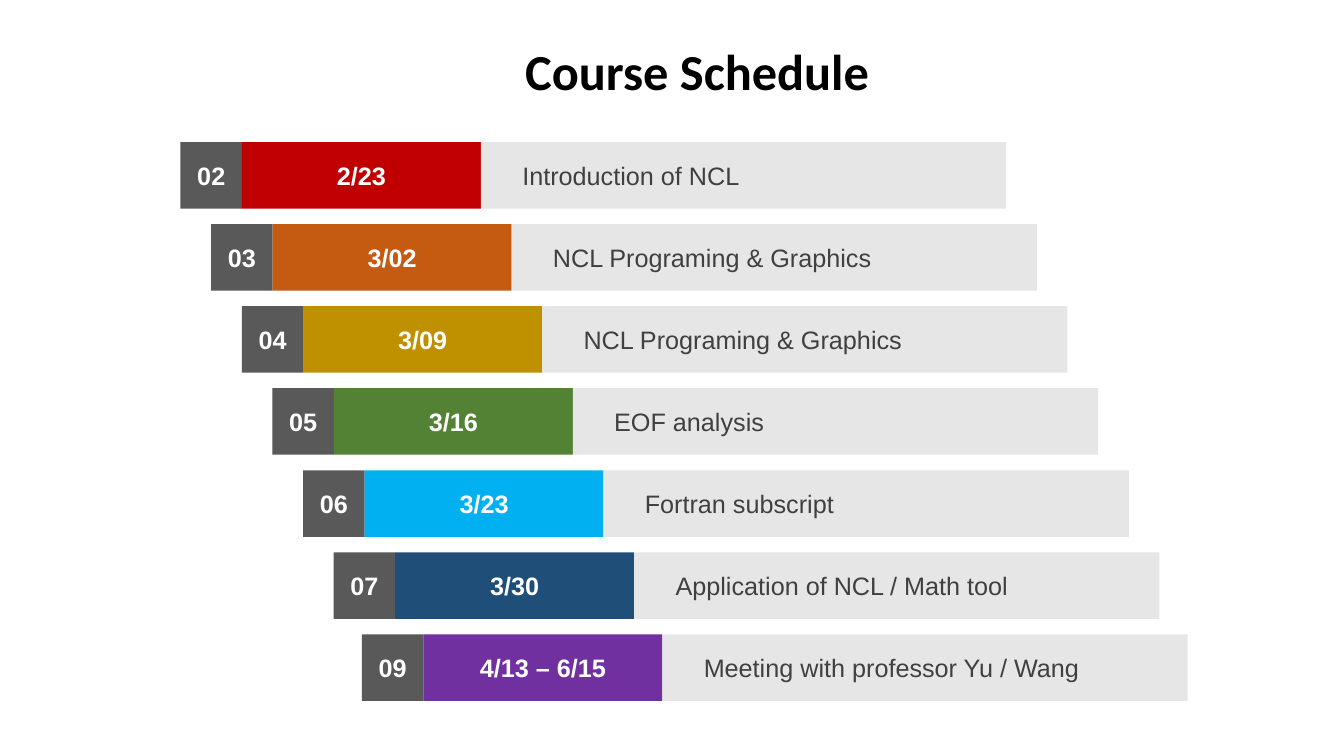
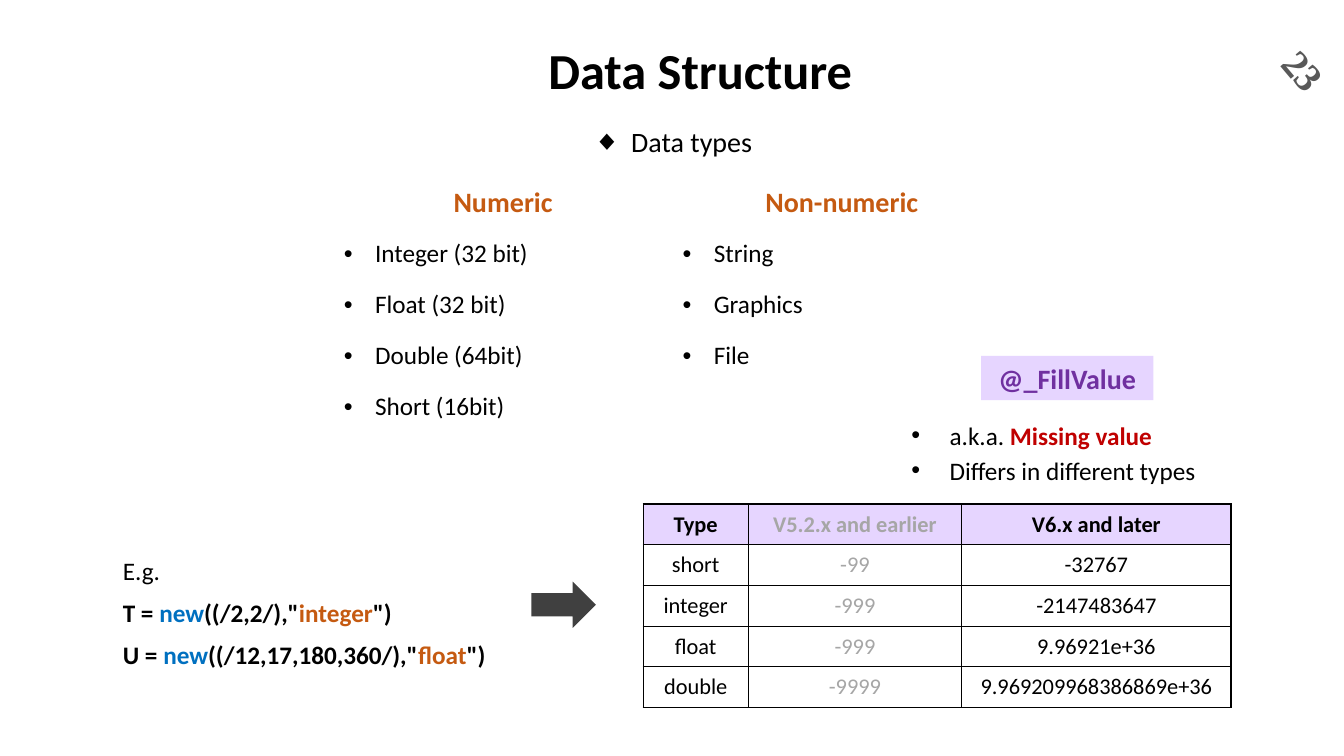
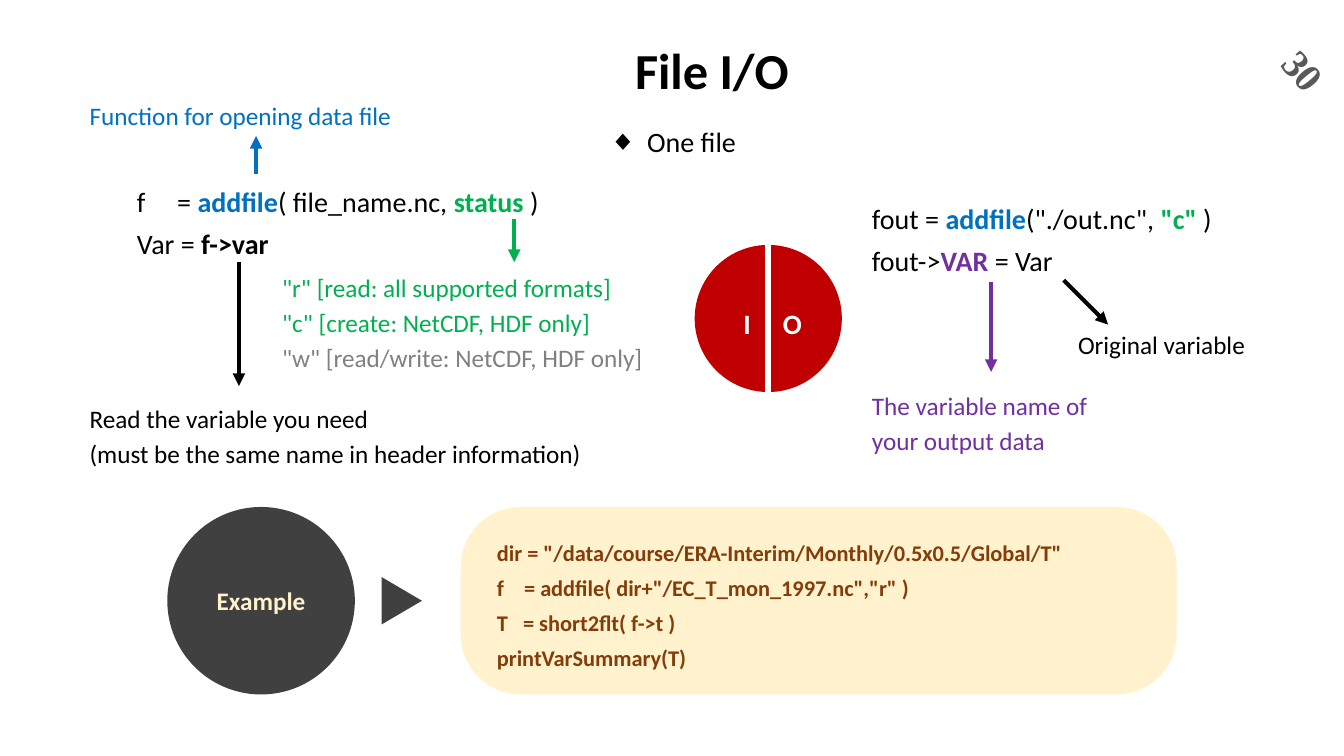
from collections import namedtuple
from itertools import accumulate

from lxml import etree
from pptx import Presentation
from pptx.dml.color import RGBColor
from pptx.enum.shapes import MSO_CONNECTOR, MSO_SHAPE
from pptx.enum.text import MSO_ANCHOR, PP_ALIGN
from pptx.oxml.ns import qn
from pptx.util import Inches, Pt

COLUMNS, ROWS = 133.3, 75
UNIT = Inches(0.1)

BLACK = RGBColor(0x00, 0x00, 0x00)
WHITE = RGBColor(0xFF, 0xFF, 0xFF)
CHARCOAL = RGBColor(0x40, 0x40, 0x40)
SLATE = RGBColor(0x59, 0x59, 0x59)
GRAY = RGBColor(0x80, 0x80, 0x80)
SILVER = RGBColor(0xA6, 0xA6, 0xA6)
PALE = RGBColor(0xE7, 0xE6, 0xE6)
RED = RGBColor(0xC0, 0x00, 0x00)
ORANGE = RGBColor(0xC5, 0x5A, 0x11)
GOLD = RGBColor(0xBF, 0x90, 0x00)
OLIVE = RGBColor(0x54, 0x82, 0x35)
SKY = RGBColor(0x00, 0xB0, 0xF0)
NAVY = RGBColor(0x1F, 0x4E, 0x79)
PURPLE = RGBColor(0x70, 0x30, 0xA0)
BLUE = RGBColor(0x00, 0x70, 0xC0)
GREEN = RGBColor(0x00, 0xB0, 0x50)
LILAC = RGBColor(0xE6, 0xD5, 0xFF)
CREAM = RGBColor(0xFF, 0xF2, 0xCC)
BROWN = RGBColor(0x84, 0x3C, 0x0B)

LEFT, CENTER = PP_ALIGN.LEFT, PP_ALIGN.CENTER
TOP, MIDDLE = MSO_ANCHOR.TOP, MSO_ANCHOR.MIDDLE
RECTANGLE, ROUNDED = MSO_SHAPE.RECTANGLE, MSO_SHAPE.ROUNDED_RECTANGLE
ELLIPSE, TRIANGLE = MSO_SHAPE.OVAL, MSO_SHAPE.ISOSCELES_TRIANGLE
RIGHT_ARROW = MSO_SHAPE.RIGHT_ARROW
STRAIGHT = MSO_CONNECTOR.STRAIGHT
BOTTOM_SIDE = 2

SCHEDULE = [
    ("02", "2/23", RED, "Introduction of NCL"),
    ("03", "3/02", ORANGE, "NCL Programing & Graphics"),
    ("04", "3/09", GOLD, "NCL Programing & Graphics"),
    ("05", "3/16", OLIVE, "EOF analysis"),
    ("06", "3/23", SKY, "Fortran subscript"),
    ("07", "3/30", NAVY, "Application of NCL / Math tool"),
    ("09", "4/13 – 6/15", PURPLE, "Meeting with professor Yu / Wang"),
]
TYPES = [
    ("Numeric", "Non-numeric"),
    ("Integer (32 bit)", "String"),
    ("Float (32 bit)", "Graphics"),
    ("Double (64bit)", "File"),
    ("Short (16bit)", ""),
]
FILL_VALUES = [
    ("Type", "V5.2.x and earlier", "V6.x and later"),
    ("short", "-99", "-32767"),
    ("integer", "-999", "-2147483647"),
    ("float", "-999", "9.96921e+36"),
    ("double", "-9999", "9.969209968386869e+36"),
]


class Box(namedtuple("Box", "left top width height")):
    def at(self, column, row, width, height):
        return Box(self.left + column, self.top + row, width, height)

    def lengths(self):
        return [round(value * UNIT) for value in self]


def add_bullet(para, symbol, indent):
    properties = para._p.get_or_add_pPr()
    properties.set("marL", str(Inches(indent)))
    properties.set("indent", str(-Inches(indent)))
    etree.SubElement(properties, qn("a:buFont")).set("typeface", "Arial")
    etree.SubElement(properties, qn("a:buChar")).set("char", symbol)


def add_tab(para, inches):
    stops = etree.SubElement(para._p.get_or_add_pPr(), qn("a:tabLst"))
    etree.SubElement(stops, qn("a:tab"), pos=str(Inches(inches)), algn="l")


def write(frame, text, size=18, color=BLACK, bold=False, font="Calibri", align=LEFT,
          anchor=TOP, spacing=None, bullet=None, indent=0.38, tab=None):
    frame.word_wrap = True
    frame.vertical_anchor = anchor
    paragraphs = [text] if isinstance(text, str) else text
    for index, spans in enumerate(paragraphs):
        para = frame.add_paragraph() if index else frame.paragraphs[0]
        para.alignment = align
        if spacing:
            para.line_spacing = Pt(spacing)
        if bullet:
            add_bullet(para, bullet, indent)
        if tab:
            add_tab(para, tab)
        if isinstance(spans, str):
            spans = [(spans, color, bold)]
        for words, span_color, span_bold in spans:
            span = para.add_run()
            span.text = words
            span.font.name = font
            span.font.size = Pt(size)
            span.font.bold = span_bold
            span.font.color.rgb = span_color


def add_text(page, box, text, **style):
    label = page.shapes.add_textbox(*box.lengths())
    write(label.text_frame, text, **style)
    return label


def add_block(page, box, fill, text="", kind=RECTANGLE, rounding=None, rotation=0, **style):
    block = page.shapes.add_shape(kind, *box.lengths())
    block.shadow.inherit = False
    block.fill.solid()
    block.fill.fore_color.rgb = fill
    block.line.fill.background()
    block.rotation = rotation
    if rounding is not None:
        block.adjustments[0] = rounding
    if text:
        write(block.text_frame, text, **{"align": CENTER, "anchor": MIDDLE, "bold": True, **style})
    return block


def add_line(page, box, color, width=3, arrow=True):
    left, top, across, down = box.lengths()
    line = page.shapes.add_connector(STRAIGHT, left, top, left + across, top + down)
    line.line.color.rgb = color
    line.line.width = Pt(width)
    if arrow:
        etree.SubElement(line.line._get_or_add_ln(), qn("a:tailEnd")).set("type", "triangle")
    etree.SubElement(line._element.spPr, qn("a:effectLst"))
    return line


def add_borders(cell):
    properties = cell._tc.get_or_add_tcPr()
    for side in ("a:lnL", "a:lnR", "a:lnT", "a:lnB"):
        border = etree.SubElement(properties, qn(side), w=str(Pt(1)))
        fill = etree.SubElement(border, qn("a:solidFill"))
        etree.SubElement(fill, qn("a:srgbClr")).set("val", str(BLACK))


def add_grid(page, box, rows, widths, cell_style, head_fill=WHITE, bordered=False):
    table = page.shapes.add_table(len(rows), len(widths), *box.lengths()).table
    table.first_row = table.horz_banding = False
    for column, width in zip(table.columns, widths):
        column.width = round(width * UNIT)
    for row_index, texts in enumerate(rows):
        table.rows[row_index].height = round(box.height / len(rows) * UNIT)
        for column_index, text in enumerate(texts):
            cell = table.cell(row_index, column_index)
            if bordered:
                add_borders(cell)
                cell.margin_left = cell.margin_right = Inches(0.03)
                cell.margin_top = cell.margin_bottom = Inches(0.03)
            cell.fill.solid()
            cell.fill.fore_color.rgb = WHITE if row_index else head_fill
            cell.vertical_anchor = MIDDLE
            if text:
                write(cell.text_frame, text, anchor=MIDDLE, **cell_style(row_index, column_index))


def add_page(deck, title, title_box, number=None, topic=None):
    page = deck.slides.add_slide(deck.slide_layouts[6])
    add_text(page, title_box, title, size=36, bold=True)
    if number:
        label = add_text(page, Box(125.3, 4.1, 8, 5.7), number, size=28, color=SLATE,
                         bold=True, font="Times New Roman", align=CENTER)
        label.rotation = 50
    if topic:
        add_text(page, Box(19, 11.9, 95.4, 4.4), topic, size=20, align=CENTER, bullet="◆")
    return page


def schedule_bar(page, box, number, date, color, topic):
    widths = (6.1, 23.7, 52.1)
    lefts = accumulate(widths[:2], initial=0)
    parts = [box.at(left, 0, width, box.height) for left, width in zip(lefts, widths)]
    add_block(page, parts[0], SLATE, number, color=WHITE, font="Arial")
    add_block(page, parts[1], color, date, color=WHITE, font="Arial")
    bar = add_block(page, parts[2], PALE, topic, color=CHARCOAL, font="Arial",
                    bold=False, align=LEFT)
    bar.text_frame.margin_left = Inches(0.41)


def schedule_page(deck):
    page = add_page(deck, "Course Schedule", Box(51.1, 3.5, 41, 7.1))
    for index, entry in enumerate(SCHEDULE):
        left = 17.9 + 3.04 * index
        if index == len(SCHEDULE) - 1:
            left = 35.9
        schedule_bar(page, Box(left, 14.1 + 8.14 * index, 81.9, 6.6), *entry)


def type_style(row, column):
    if row == 0:
        return dict(size=20, color=ORANGE, bold=True, align=CENTER)
    return dict(bullet="•", indent=0.31)


def value_style(row, column):
    return dict(size=16, color=SILVER if column == 1 else BLACK, bold=row == 0, align=CENTER)


def fill_value_region(page, box):
    add_block(page, box.at(33.5, 0, 17.1, 4.4), LILAC, "@_FillValue", size=20, color=PURPLE)
    add_text(page, box.at(25.6, 5.4, 32.7, 7.7), [
        [("a.k.a. ", BLACK, False), ("Missing value", RED, True)],
        "Differs in different types",
    ], spacing=25, bullet="•")
    add_grid(page, box.at(0, 14.7, box.width, 20.2), FILL_VALUES, (10.4, 21.2, 26.7),
             value_style, head_fill=LILAC, bordered=True)


def new_call(name, sizes, kind):
    return [(f"{name} = ", BLACK, True), ("new", BLUE, True), (f'(({sizes}),"', BLACK, True),
            (kind, ORANGE, True), ('")', BLACK, True)]


def declaration_region(page, box):
    add_text(page, box.at(0, 0, 43.9, box.height), [
        "E.g.",
        new_call("T", "/2,2/", "integer"),
        new_call("U", "/12,17,180,360/", "float"),
    ], spacing=30)
    add_block(page, box.at(41.5, 4.3, 6.4, 4.6), CHARCOAL, kind=RIGHT_ARROW)


def data_page(deck):
    page = add_page(deck, "Data Structure", Box(53.4, 3.4, 36.6, 7.1), "23", "Data types")
    add_grid(page, Box(33.1, 17.6, 67.2, 25.3), TYPES, (33.6, 33.6), type_style)
    declaration_region(page, Box(11.2, 53.4, 47.9, 13.2))
    fill_value_region(page, Box(63.8, 35.3, 58.3, 34.9))


def input_region(page, box):
    add_text(page, box.at(4.7, 7.5, 46.3, 9), [
        [("f     = ", BLACK, False), ("addfile", BLUE, True), ("( file_name.nc, ", BLACK, False),
         ("status ", GREEN, True), (")", BLACK, False)],
        [("Var = ", BLACK, False), ("f->var", BLACK, True)],
    ], size=20, spacing=30)
    purpose = add_text(page, box.at(0, 0, 35, 4), "Function for opening data file", color=BLUE)
    pointer = add_line(page, box.at(17.5, 7.8, 0, -3.8), BLUE)
    pointer.end_connect(purpose, BOTTOM_SIDE)
    add_line(page, box.at(43.1, 12.2, 0, 4.3), GREEN)
    add_line(page, box.at(15.8, 16.5, 0, 12.3), BLACK)
    add_text(page, box.at(0, 29.6, box.width, 7.7), [
        "Read the variable you need",
        "(must be the same name in header information)",
    ], spacing=25)
    add_text(page, box.at(19.1, 16.5, 39.7, 11.2), [
        '"r" [read: all supported formats]',
        '"c" [create: NetCDF, HDF only]',
        [('"w" [read/write: NetCDF, HDF only]', GRAY, False)],
    ], color=GREEN, spacing=25)


def split_circle(page, box):
    circle = add_block(page, box, RED, "I\tO", kind=ELLIPSE, size=20, color=WHITE,
                       align=LEFT, tab=0.39)
    frame = circle.text_frame
    frame.margin_left, frame.margin_right = Inches(0.27), 0
    frame.margin_top, frame.margin_bottom = Inches(0.1), 0
    add_line(page, box.at(box.width / 2, -2.6, 0, 19.5), WHITE, width=4.5, arrow=False)


def output_region(page, box):
    add_text(page, box.at(0, 0, box.width, 9), [
        [("fout = ", BLACK, False), ("addfile", BLUE, True), ('("./out.nc", ', BLACK, False),
         ('"c" ', GREEN, True), (")", BLACK, False)],
        [("fout->", BLACK, False), ("VAR", PURPLE, True), (" = Var", BLACK, False)],
    ], size=20, spacing=30)
    add_line(page, box.at(20, 9.1, 4.4, 4.4), BLACK)
    add_text(page, box.at(19.6, 13.5, 20.2, 4), "Original variable", align=CENTER)
    add_text(page, box.at(0, 19.1, 25.3, 7.8), "The variable name of your output data",
             color=PURPLE, spacing=25)
    add_line(page, box.at(12.8, 9.3, 0, 8.9), PURPLE)


def example_region(page, box):
    add_block(page, box.at(0, 0, box.height, box.height), CHARCOAL, "Example",
              kind=ROUNDED, rounding=0.5, color=CREAM)
    add_block(page, box.at(20.9, 7.3, 4.7, 4), CHARCOAL, kind=TRIANGLE, rotation=90)
    add_block(page, box.at(29.1, 0, 71, box.height), CREAM, kind=ROUNDED, rounding=0.32)
    add_text(page, box.at(31.7, 1.9, 66, 14.7), [
        'dir = "/data/course/ERA-Interim/Monthly/0.5x0.5/Global/T"',
        'f    = addfile( dir+"/EC_T_mon_1997.nc","r" )',
        "T   = short2flt( f->t )",
        "printVarSummary(T)",
    ], size=16, color=BROWN, bold=True, spacing=25)


def file_page(deck):
    page = add_page(deck, "File I/O", Box(62, 3.4, 19.3, 7.1), "30", "One file")
    input_region(page, Box(7.9, 9.5, 55.6, 37.3))
    split_circle(page, Box(68.9, 24.3, 14.6, 14.6))
    output_region(page, Box(85.5, 18.7, 39, 26.9))
    example_region(page, Box(16.6, 50.3, 100.1, 18.6))


def main():
    deck = Presentation()
    deck.slide_width, deck.slide_height = round(COLUMNS * UNIT), round(ROWS * UNIT)
    schedule_page(deck)
    data_page(deck)
    file_page(deck)
    deck.save("out.pptx")


if __name__ == "__main__":
    main()
